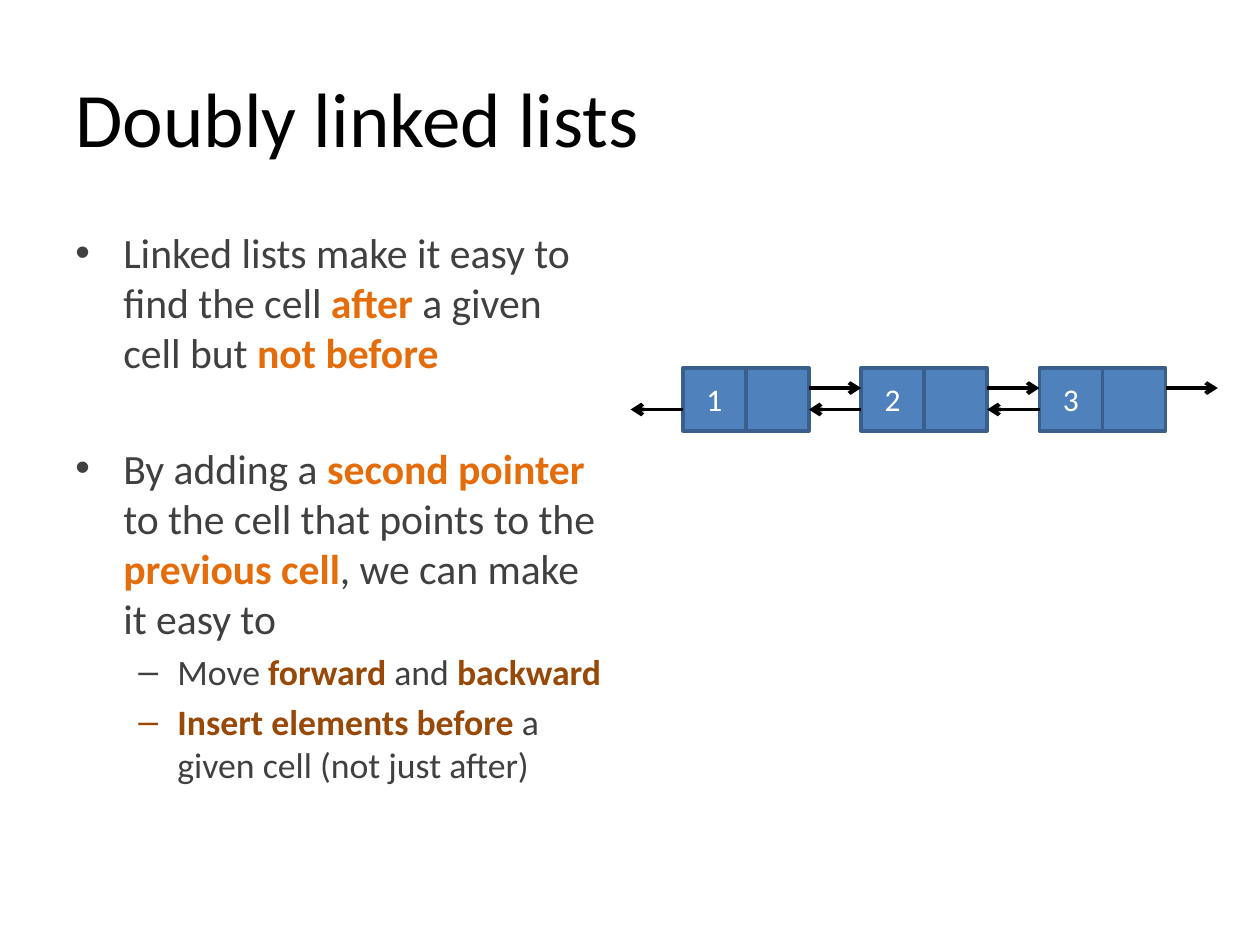
import pptx
import pptx.util
import pptx.dml.color
import pptx.enum.shapes
import pptx.enum.text
import pptx.oxml.ns
import lxml.etree

Inches, Pt = pptx.util.Inches, pptx.util.Pt
ANCHOR = pptx.enum.text.MSO_ANCHOR
ALIGN = pptx.enum.text.PP_ALIGN

THEME = {
    "font": "Calibri",
    "title": {"size": 44, "color": "000000"},
    "cell": {"size": 18, "color": "FFFFFF"},
    "plain": {"color": "404040", "bold": False},
    "key": {"color": "E46C0A", "bold": True},
    "subkey": {"color": "984807", "bold": True},
    "fill": "4F81BD",
    "border": "3A5F8C",
    "arrow": "000000",
    # bullet sign, text size, left margin and hanging indent
    "levels": [("•", 23.8, 0.38, 0.38), ("–", 20.4, 0.81, 0.31)],
}


def rgb(value):
    return pptx.dml.color.RGBColor.from_string(value)


def add_span(para, text, style):
    span = para.add_run()
    span.text = text
    font = {"name": THEME["font"], "size": Pt(style["size"]), "bold": style.get("bold", False)}
    for name, value in font.items():
        setattr(span.font, name, value)
    span.font.color.rgb = rgb(style["color"])


deck = pptx.Presentation()
deck.slide_width, deck.slide_height = Inches(10), Inches(7.5)
page = deck.slides.add_slide(deck.slide_layouts[6])

# Title
title = page.shapes.add_textbox(Inches(0.5), Inches(0.3), Inches(9), Inches(1.25))
for name, value in {"word_wrap": True, "vertical_anchor": ANCHOR.MIDDLE}.items():
    setattr(title.text_frame, name, value)
add_span(title.text_frame.paragraphs[0], "Doubly linked lists", THEME["title"])

# Bullets: level, space before in points, spans
BULLETS = [
    (0, 4.8, [("Linked lists make it easy to find the cell ", "plain"), ("after ", "key"),
              ("a given cell but ", "plain"), ("not before", "key")]),
    (0, 37.5, [("By adding a ", "plain"), ("second pointer ", "key"),
               ("to the cell that points to the ", "plain"), ("previous cell", "key"),
               (", we can make it easy to", "plain")]),
    (1, 4.1, [("Move ", "plain"), ("forward ", "subkey"), ("and ", "plain"),
              ("backward", "subkey")]),
    (1, 4.1, [("Insert elements before ", "subkey"),
              ("a given cell (not just after)", "plain")]),
]
body = page.shapes.add_textbox(Inches(0.5), Inches(1.75), Inches(4.42), Inches(4.95))
body.text_frame.word_wrap = True
for index, (level, space, spans) in enumerate(BULLETS):
    para = body.text_frame.add_paragraph() if index else body.text_frame.paragraphs[0]
    sign, size, margin, hang = THEME["levels"][level]
    for name, value in {"level": level, "space_before": Pt(space)}.items():
        setattr(para, name, value)
    props = para._p.get_or_add_pPr()
    props.set("marL", str(Inches(margin)))
    props.set("indent", str(-Inches(hang)))
    font = lxml.etree.SubElement(props, pptx.oxml.ns.qn("a:buFont"))
    font.set("typeface", "Arial")
    bullet = lxml.etree.SubElement(props, pptx.oxml.ns.qn("a:buChar"))
    bullet.set("char", sign)
    for text, style in spans:
        add_span(para, text, {**THEME[style], "size": size})

# List cells: a value half and a pointer half each
FIRST, TOP, SIDE, PITCH = 5.42, 2.92, 0.5, 1.415
GAP = PITCH - 2 * SIDE
lefts = [FIRST + i * PITCH for i in range(3)]
for number, left in enumerate(lefts, 1):
    for half, text in enumerate([str(number), ""]):
        box = page.shapes.add_shape(
            pptx.enum.shapes.MSO_SHAPE.RECTANGLE,
            Inches(left + half * SIDE), Inches(TOP), Inches(SIDE), Inches(SIDE))
        box.shadow.inherit = False
        box.fill.solid()
        box.fill.fore_color.rgb = rgb(THEME["fill"])
        box.line.color.rgb = rgb(THEME["border"])
        box.line.width = Pt(2)
        if text:
            box.text_frame.vertical_anchor = ANCHOR.MIDDLE
            para = box.text_frame.paragraphs[0]
            para.alignment = ALIGN.CENTER
            add_span(para, text, THEME["cell"])

# Pointers: forward ones leave a cell's right side, backward ones its left side
pointers = [(left + 2 * SIDE, 3.08, "a:tailEnd") for left in lefts]
pointers += [(left - GAP, 3.25, "a:headEnd") for left in reversed(lefts)]
for start, height, end in pointers:
    arrow = page.shapes.add_connector(
        pptx.enum.shapes.MSO_CONNECTOR.STRAIGHT,
        Inches(start), Inches(height), Inches(start + GAP), Inches(height))
    arrow.line.color.rgb = rgb(THEME["arrow"])
    arrow.line.width = Pt(2.25)
    tip = lxml.etree.SubElement(arrow.line._get_or_add_ln(), pptx.oxml.ns.qn(end))
    tip.set("type", "arrow")
    lxml.etree.SubElement(arrow._element.spPr, pptx.oxml.ns.qn("a:effectLst"))

deck.save("out.pptx")
